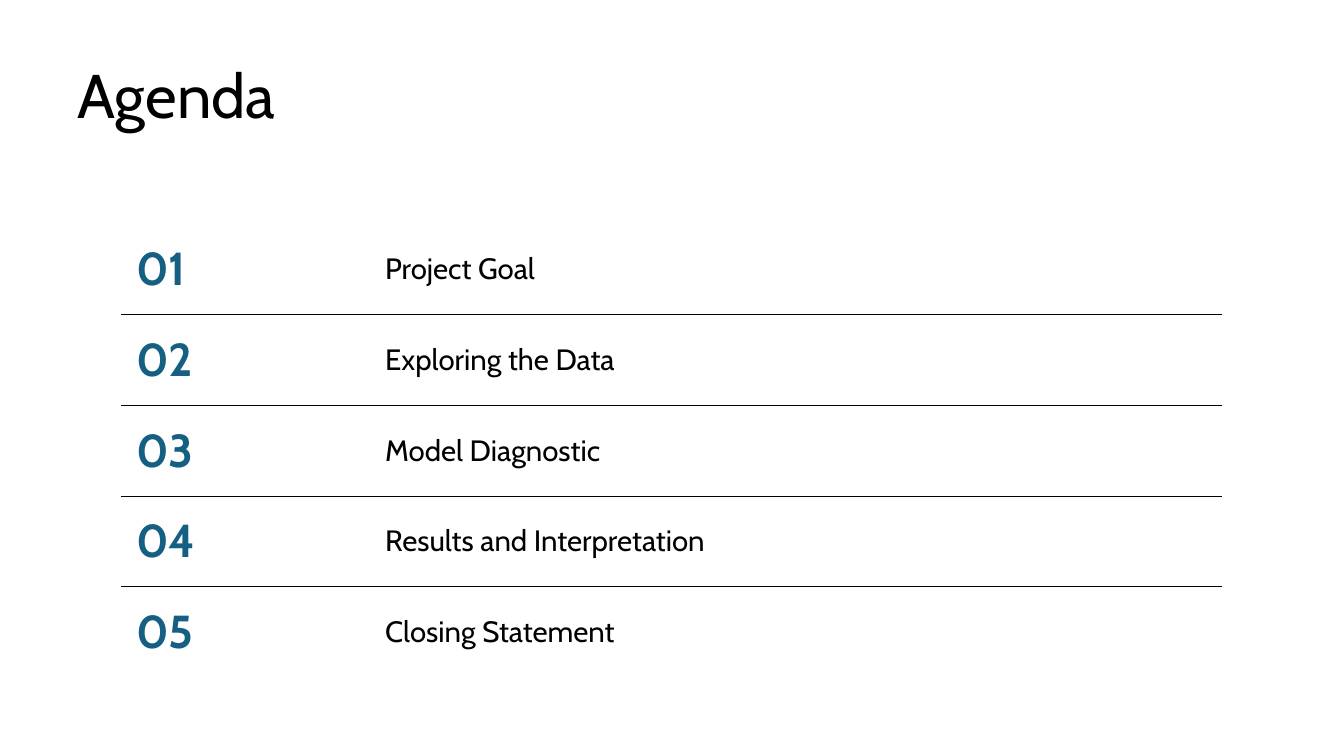
from lxml.etree import SubElement
from pptx import Presentation
from pptx.dml.color import RGBColor
from pptx.enum.text import MSO_ANCHOR
from pptx.oxml.ns import qn
from pptx.util import Inches, Pt


def write_text(paragraph, text, size, color, bold=False):
    run = paragraph.add_run()
    run.text = text
    formats = {"name": "Cabin", "size": Pt(size), "bold": bold}
    for name, value in formats.items():
        setattr(run.font, name, value)
    run.font.color.rgb = RGBColor.from_string(color)


def add_border(cell, side, color=None):
    line = SubElement(cell._tc.get_or_add_tcPr(), qn(f"a:ln{side}"), w=str(Pt(0.5)))
    if color:
        fill = SubElement(line, qn("a:solidFill"))
        SubElement(fill, qn("a:srgbClr"), val=color)
    else:
        SubElement(line, qn("a:noFill"))


presentation = Presentation()
presentation.slide_width = Inches(13.33)
presentation.slide_height = Inches(7.5)
slide = presentation.slides.add_slide(presentation.slide_layouts[6])

title = slide.shapes.add_textbox(Inches(0.67), Inches(0.6), Inches(11.97), Inches(1.24))
title.text_frame.word_wrap = True
title_paragraph = title.text_frame.paragraphs[0]
title_paragraph.line_spacing = 0.9
write_text(title_paragraph, "Agenda", 44, "000000")

topics = [
    "Project Goal",
    "Exploring the Data",
    "Model Diagnostic",
    "Results and Interpretation",
    "Closing Statement",
]
last_row = len(topics) - 1
table = slide.shapes.add_table(
    len(topics), 2, Inches(1.2), Inches(2.22), Inches(10.92), Inches(4.5)
).table
table.first_row = False
table.horz_banding = False
table.columns[0].width = Inches(2.47)
table.columns[1].width = Inches(8.45)

cell_format = {
    "vertical_anchor": MSO_ANCHOR.MIDDLE,
    "margin_left": Inches(0.15),
    "margin_right": Inches(0.15),
    "margin_top": Inches(0.15),
    "margin_bottom": Inches(0.15),
}
for row, topic in enumerate(topics):
    number_cell, topic_cell = table.cell(row, 0), table.cell(row, 1)
    write_text(number_cell.text_frame.paragraphs[0], f"{row + 1:02}", 33, "156082", True)
    write_text(topic_cell.text_frame.paragraphs[0], topic, 21, "000000")
    for cell in (number_cell, topic_cell):
        for name, value in cell_format.items():
            setattr(cell, name, value)
        add_border(cell, "L")
        add_border(cell, "R")
        add_border(cell, "T", "000000" if row > 0 else None)
        add_border(cell, "B", "000000" if row < last_row else None)
        cell.fill.background()

presentation.save("out.pptx")
